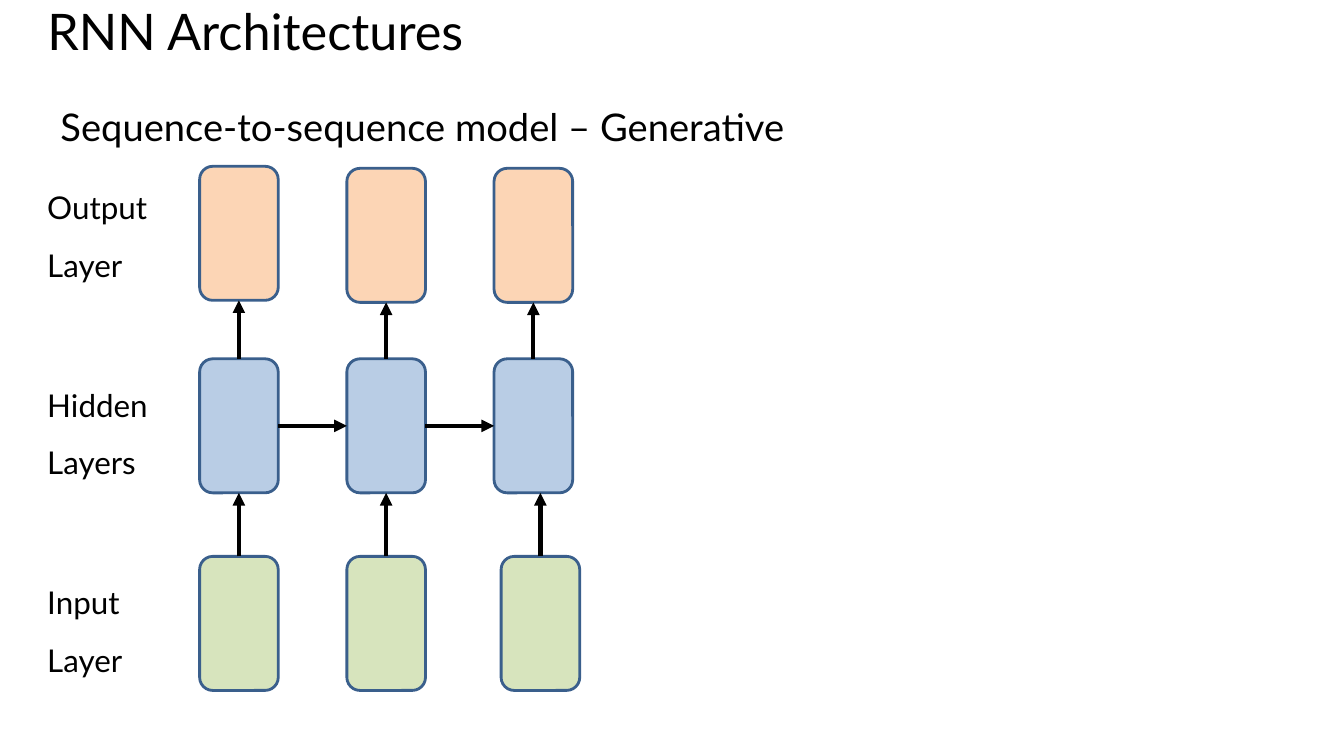
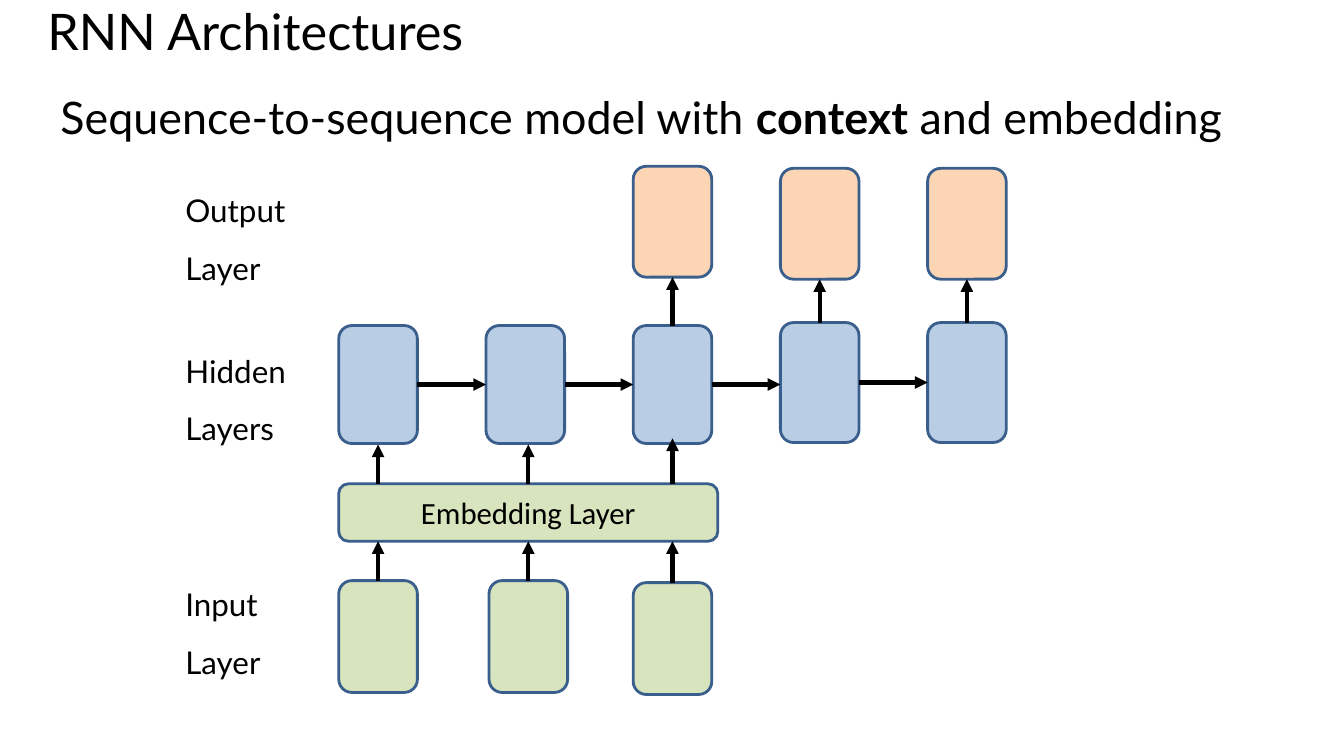
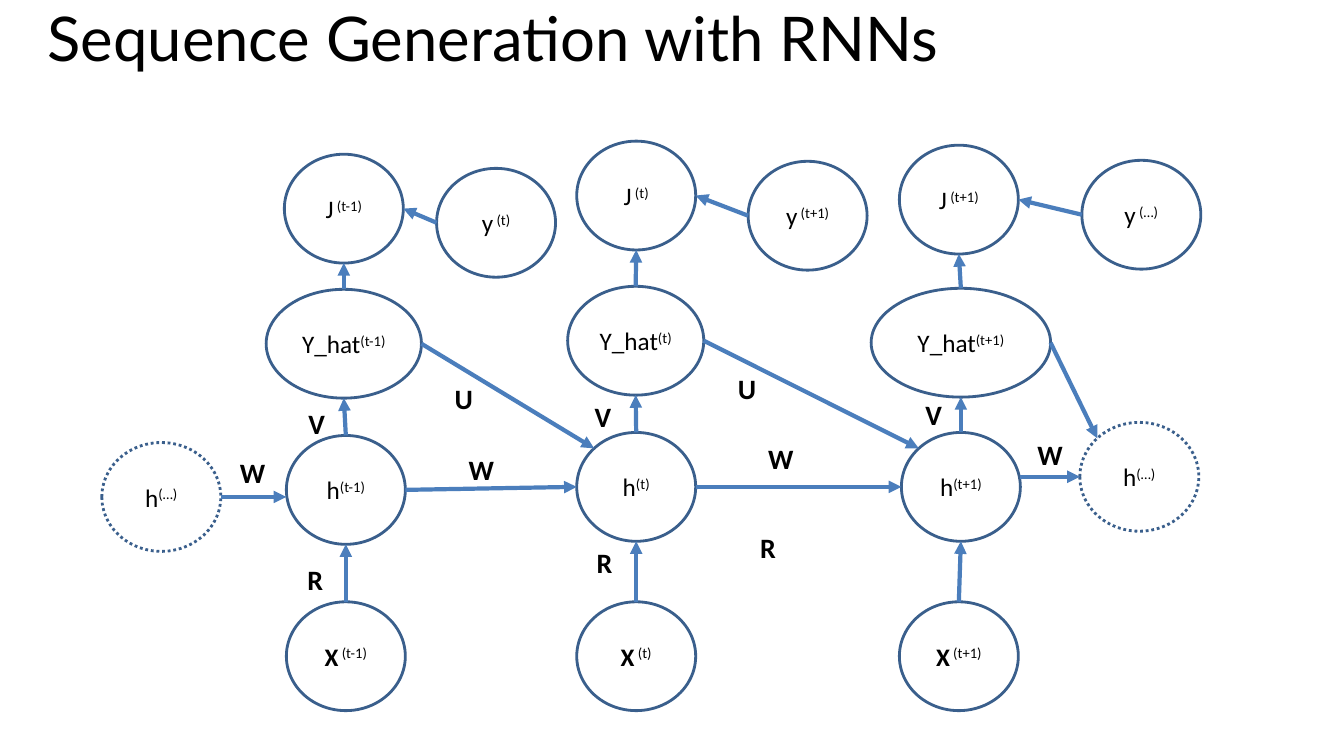
from dataclasses import dataclass
from typing import Any

import lxml.etree
import pptx
import pptx.dml.color
import pptx.enum.dml
import pptx.enum.shapes
import pptx.enum.text
import pptx.oxml.ns
import pptx.shapes.autoshape
import pptx.slide
import pptx.text.text
import pptx.util

Inches = pptx.util.Inches
Pt = pptx.util.Pt
RGBColor = pptx.dml.color.RGBColor
Shape = pptx.shapes.autoshape.Shape
Slide = pptx.slide.Slide
Point = tuple[float, float]

BLACK = RGBColor(0x00, 0x00, 0x00)
OUTLINE = RGBColor(0x3A, 0x5F, 0x8C)
ARROW_BLUE = RGBColor(0x4B, 0x7E, 0xBC)
HIDDEN_BLUE = RGBColor(0xB9, 0xCD, 0xE5)
INPUT_GREEN = RGBColor(0xD7, 0xE4, 0xBD)
OUTPUT_ORANGE = RGBColor(0xFC, 0xD5, 0xB5)

LAYER_LABELS = (("Output", "Layer"), ("Hidden", "Layers"), ("Input", "Layer"))
LABEL_STYLE = {"name": "Lato", "size": Pt(22.4)}
NODE_STYLE = {"name": "Calibri", "size": Pt(18)}
WEIGHT_STYLE = {"name": "Calibri", "size": Pt(20), "bold": True}
COLUMN_STEP = 1.46
STEPS = ("…", "t-1", "t", "t+1", "…")


@dataclass
class Box:
    left: float
    top: float
    width: float
    height: float

    @property
    def right(self) -> float:
        return self.left + self.width

    @property
    def bottom(self) -> float:
        return self.top + self.height

    @property
    def center(self) -> float:
        return self.left + self.width / 2

    @property
    def middle(self) -> float:
        return self.top + self.height / 2

    @property
    def upper_left(self) -> Point:
        """Point of the inscribed ellipse at 45 degrees."""
        inset = (1 - 0.5 ** 0.5) / 2
        return self.left + self.width * inset, self.top + self.height * inset

    def lengths(self) -> list[pptx.util.Length]:
        return [Inches(value) for value in (self.left, self.top, self.width, self.height)]


@dataclass
class Block(Box):
    """Rounded cell of a network layer."""
    fill: RGBColor
    text: str = ""


@dataclass
class Node(Box):
    """Ellipse holding a letter with a raised time step."""
    letter: str
    column: int

    @property
    def is_open_end(self) -> bool:
        return self.letter == "h" and self.column in (0, len(STEPS) - 1)


def add_span(para: pptx.text.text._Paragraph, text: str, style: dict[str, Any]) -> pptx.text.text._Run:
    span = para.add_run()
    span.text = text
    for name, value in style.items():
        setattr(span.font, name, value)
    span.font.color.rgb = BLACK
    return span


def place(shape: Any, box: Box) -> None:
    for name, value in zip(("left", "top", "width", "height"), box.lengths()):
        setattr(shape, name, value)


def add_page(deck: Any, layout: int, title: str, size: float, top: float) -> Slide:
    page = deck.slides.add_slide(deck.slide_layouts[layout])
    place(page.shapes.title, Box(0.37, top, 12.6, 0.89))
    frame = page.shapes.title.text_frame
    frame.vertical_anchor = pptx.enum.text.MSO_ANCHOR.TOP
    frame.auto_size = pptx.enum.text.MSO_AUTO_SIZE.NONE
    para = frame.paragraphs[0]
    para.alignment = pptx.enum.text.PP_ALIGN.LEFT
    para.line_spacing = 0.8
    add_span(para, title, {"name": "Lato", "size": Pt(size)})
    return page


def fill_body(page: Slide, box: Box, size: float, spans: list[tuple[str, bool]]) -> None:
    body = page.placeholders[1]
    place(body, box)
    body.text_frame.auto_size = pptx.enum.text.MSO_AUTO_SIZE.NONE
    para = body.text_frame.paragraphs[0]
    para.space_before = Pt(0)
    properties = para._p.get_or_add_pPr()
    properties.set("marL", "0")
    properties.set("indent", "0")
    lxml.etree.SubElement(properties, pptx.oxml.ns.qn("a:buNone"))
    for text, bold in spans:
        add_span(para, text, {"name": "Lato", "size": Pt(size), "bold": bold})


def add_label(page: Slide, box: Box, lines: tuple[str, ...], style: dict[str, Any], wrap: bool) -> None:
    frame = page.shapes.add_textbox(*box.lengths()).text_frame
    frame.word_wrap = wrap
    for index, line in enumerate(lines):
        para = frame.add_paragraph() if index else frame.paragraphs[0]
        para.space_before = Pt(14 if index else 0)
        add_span(para, line, style)


def add_layer_labels(page: Slide, left: float, tops: tuple[float, ...]) -> None:
    for lines, top in zip(LAYER_LABELS, tops):
        add_label(page, Box(left, top, 1.42, 0.89), lines, LABEL_STYLE, True)


def add_outlined(page: Slide, preset: Any, box: Box) -> Shape:
    shape = page.shapes.add_shape(preset, *box.lengths())
    shape.shadow.inherit = False
    shape.line.color.rgb = OUTLINE
    shape.line.width = Pt(2)
    shape.text_frame.vertical_anchor = pptx.enum.text.MSO_ANCHOR.MIDDLE
    shape.text_frame.word_wrap = False
    shape.text_frame.paragraphs[0].alignment = pptx.enum.text.PP_ALIGN.CENTER
    return shape


def draw_block(page: Slide, block: Block) -> None:
    shape = add_outlined(page, pptx.enum.shapes.MSO_SHAPE.ROUNDED_RECTANGLE, block)
    shape.fill.solid()
    shape.fill.fore_color.rgb = block.fill
    if block.text:
        add_span(shape.text_frame.paragraphs[0], block.text, {"name": "Calibri", "size": Pt(22)})


def draw_node(page: Slide, node: Node) -> None:
    shape = add_outlined(page, pptx.enum.shapes.MSO_SHAPE.OVAL, node)
    shape.fill.background()
    if node.is_open_end:
        shape.line.dash_style = pptx.enum.dml.MSO_LINE.ROUND_DOT
    para = shape.text_frame.paragraphs[0]
    add_span(para, node.letter, NODE_STYLE | {"bold": node.letter == "X"})
    gap = "" if node.letter in ("h", "Y_hat") else " "
    step = add_span(para, f"{gap}({STEPS[node.column]})", NODE_STYLE)
    step._r.get_or_add_rPr().set("baseline", "30000")


def add_arrow(page: Slide, start: Point, end: Point, color: RGBColor) -> None:
    arrow = page.shapes.add_connector(
        pptx.enum.shapes.MSO_CONNECTOR.STRAIGHT, *(Inches(value) for value in start + end))
    arrow.line.color.rgb = color
    arrow.line.width = Pt(3)
    lxml.etree.SubElement(arrow.line._get_or_add_ln(), pptx.oxml.ns.qn("a:tailEnd"), type="triangle")
    lxml.etree.SubElement(arrow._element.spPr, pptx.oxml.ns.qn("a:effectLst"))


def arrow_up(page: Slide, lower: Box, upper: Box) -> None:
    add_arrow(page, (lower.center, lower.top), (lower.center, upper.bottom), BLACK)


def arrows_across(page: Slide, blocks: list[Block]) -> None:
    for block, following in zip(blocks, blocks[1:]):
        add_arrow(page, (block.right, block.middle), (following.left, block.middle), BLACK)


def make_row(fill: RGBColor, height: float, lefts: list[float], tops: list[float]) -> list[Block]:
    return [Block(left, top, 0.78, height, fill) for left, top in zip(lefts, tops)]


def columns(first: float, count: int) -> list[float]:
    return [first + COLUMN_STEP * index for index in range(count)]


def build_generative(deck: Any) -> None:
    page = add_page(deck, 1, "RNN Architectures", 36, 0.07)
    fill_body(page, Box(0.5, 0.98, 10.18, 0.48), 27.2,
              [("Sequence-to-sequence model – Generative", False)])
    add_layer_labels(page, 0.37, (1.82, 3.78, 5.74))
    lefts = columns(1.98, 3)
    outputs = make_row(OUTPUT_ORANGE, 1.33, lefts, [1.65, 1.67, 1.67])
    hidden = make_row(HIDDEN_BLUE, 1.33, lefts, [3.56] * 3)
    inputs = make_row(INPUT_GREEN, 1.33, lefts[:2] + [4.97], [5.52] * 3)
    for block in outputs + hidden + inputs:
        draw_block(page, block)
    for lower, upper in zip(inputs + hidden, hidden + outputs):
        arrow_up(page, lower, upper)
    arrows_across(page, hidden)


def build_embedding(deck: Any) -> None:
    page = add_page(deck, 1, "RNN Architectures", 36, 0.07)
    fill_body(page, Box(0.5, 0.84, 12.68, 0.85), 32,
              [("Sequence-to-sequence model with ", False), ("context", True), (" and embedding", False)])
    add_layer_labels(page, 1.74, (1.85, 3.44, 5.76))
    lefts = columns(3.36, 5)
    outputs = make_row(OUTPUT_ORANGE, 1.1, lefts[2:], [1.65, 1.67, 1.67])
    hidden = (make_row(HIDDEN_BLUE, 1.17, lefts[:3], [3.23] * 3)
              + make_row(HIDDEN_BLUE, 1.19, lefts[3:], [3.2] * 2))
    inputs = make_row(INPUT_GREEN, 1.11, [lefts[0], 4.85, lefts[2]], [5.76, 5.76, 5.78])
    embedding = Block(3.36, 4.8, 3.76, 0.57, INPUT_GREEN, "Embedding Layer")
    for block in outputs + hidden + inputs + [embedding]:
        draw_block(page, block)
    for lower, upper in zip(hidden[2:], outputs):
        arrow_up(page, lower, upper)
    for block, tip in zip(inputs, (4.41, 4.41, 4.35)):
        arrow_up(page, block, embedding)
        add_arrow(page, (block.center, embedding.top), (block.center, tip), BLACK)
    arrows_across(page, hidden)


# Left, top and width by letter, then by time-step column
NODE_PLACES = {
    "J": {1: (2.82, 1.53, 1.18), 2: (5.72, 1.4, 1.18), 3: (8.92, 1.44, 1.18)},
    "y": {2: (4.33, 1.67, 1.18), 3: (7.42, 1.6, 1.18), 4: (10.73, 1.59, 1.18)},
    "Y_hat": {1: (2.64, 2.87, 1.54), 2: (5.63, 2.84, 1.35), 3: (8.64, 2.86, 1.78)},
    "h": {0: (1.01, 4.39, 1.18), 1: (2.84, 4.32, 1.18), 2: (5.72, 4.29, 1.18),
          3: (8.94, 4.29, 1.18), 4: (10.71, 4.19, 1.18)},
    "X": {1: (2.84, 5.97, 1.18), 2: (5.72, 5.97, 1.18), 3: (8.92, 5.97, 1.18)},
}
WEIGHT_PLACES = {
    "U": [(4.41, 3.74), (7.22, 3.64)],
    "V": [(2.96, 3.98), (5.8, 3.91), (9.08, 3.89)],
    "W": [(2.28, 4.47), (4.55, 4.44), (7.52, 4.33), (10.19, 4.29)],
    "R": [(2.95, 5.53), (5.82, 5.36), (7.44, 5.21)],
}
WEIGHT_WIDTHS = {"U": 0.37, "V": 0.37, "W": 0.46, "R": 0.38}


def build_generation(deck: Any) -> None:
    page = add_page(deck, 5, "Sequence Generation with RNNs", 44, 0.09)
    nodes = {(letter, column): Node(left, top, width, 1.08, letter, column)
             for letter, row in NODE_PLACES.items()
             for column, (left, top, width) in row.items()}
    for node in nodes.values():
        draw_node(page, node)

    for column in (1, 2, 3):
        chain = [nodes[letter, column] for letter in ("X", "h", "Y_hat", "J")]
        for lower, upper in zip(chain, chain[1:]):
            add_arrow(page, (lower.center, lower.top), (upper.center, upper.bottom), ARROW_BLUE)
        guess, loss = chain[2:]
        target = nodes["y", column + 1]
        add_arrow(page, (target.left, target.middle), (loss.right, loss.middle), ARROW_BLUE)
        add_arrow(page, (guess.right, guess.middle), nodes["h", column + 1].upper_left, ARROW_BLUE)

    for column in range(4):
        state, following = nodes["h", column], nodes["h", column + 1]
        start = following.middle if following.is_open_end else state.middle
        end = state.middle if state.is_open_end else following.middle
        add_arrow(page, (state.right, start), (following.left, end), ARROW_BLUE)

    for letter, places in WEIGHT_PLACES.items():
        for left, top in places:
            add_label(page, Box(left, top, WEIGHT_WIDTHS[letter], 0.44), (letter,), WEIGHT_STYLE, False)


def main() -> None:
    deck = pptx.Presentation()
    deck.slide_width = Inches(13.33)
    deck.slide_height = Inches(7.5)
    build_generative(deck)
    build_embedding(deck)
    build_generation(deck)
    deck.save("out.pptx")


if __name__ == "__main__":
    main()
